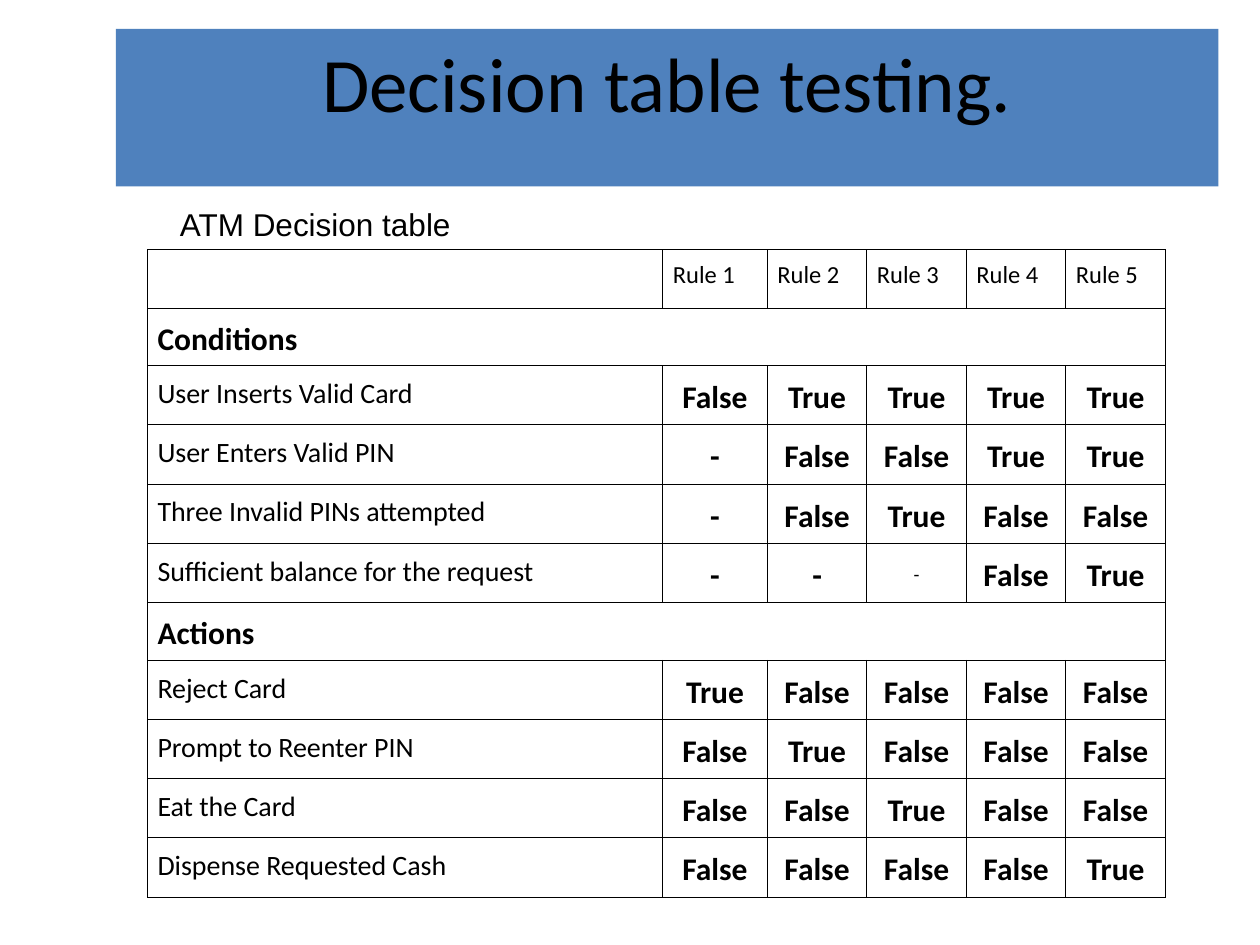
from lxml.etree import SubElement as Sub
from pptx import Presentation
from pptx.dml.color import RGBColor as RGB
from pptx.enum.text import MSO_ANCHOR as Anchor, MSO_AUTO_SIZE as Auto, PP_ALIGN as Align
from pptx.oxml.ns import qn
from pptx.util import Inches, Pt

INK = {"text": "000000", "band": "4F81BD", "line": "000000", "cell": "FFFFFF"}
COLS = [4.09, 0.83] + [0.79] * 4
HIGH = {"Conditions": 0.37, "Actions": 0.46}
ROWS = [
    ["", "Rule 1", "Rule 2", "Rule 3", "Rule 4", "Rule 5"],
    ["Conditions"],
    ["User Inserts Valid Card", "False", "True", "True", "True", "True"],
    ["User Enters Valid PIN", "-", "False", "False", "True", "True"],
    ["Three Invalid PINs attempted", "-", "False", "True", "False", "False"],
    ["Sufficient balance for the request", "-", "-", "-", "False", "True"],
    ["Actions"],
    ["Reject Card", "True", "False", "False", "False", "False"],
    ["Prompt to Reenter PIN", "False", "True", "False", "False", "False"],
    ["Eat the Card", "False", "False", "True", "False", "False"],
    ["Dispense Requested Cash", "False", "False", "False", "False", "True"],
]
SMALL = (5, 3)


class Deck:
    def __init__(self, slide, font="Calibri"):
        self.slide = slide
        self.font = font

    def style(self, frame, text, size, bold=False, align=Align.LEFT, font=None):
        frame.text = text
        para = frame.paragraphs[0]
        para.alignment = align
        for run in para.runs:
            run.font.name = font or self.font
            run.font.size = Pt(size)
            run.font.bold = bold
            run.font.color.rgb = RGB.from_string(INK["text"])
        return para

    def place(self, shape, box):
        shape.left, shape.top, shape.width, shape.height = map(Inches, box)

    def title(self, text, box):
        shape = self.slide.shapes.title
        self.place(shape, box)
        shape.fill.solid()
        shape.fill.fore_color.rgb = RGB.from_string(INK["band"])
        frame = shape.text_frame
        frame.auto_size = Auto.NONE
        frame.vertical_anchor = Anchor.TOP
        self.style(frame, text, 44, align=Align.CENTER)

    def label(self, text, box):
        frame = self.slide.shapes.add_textbox(*map(Inches, box)).text_frame
        frame.word_wrap = True
        self.style(frame, text, 18, font="Arial")

    def edge(self, cell):
        props = cell._tc.get_or_add_tcPr()
        for side in ("lnL", "lnR", "lnT", "lnB"):
            line = Sub(props, qn("a:" + side), w=str(Pt(0.45)))
            fill = Sub(line, qn("a:solidFill"))
            Sub(fill, qn("a:srgbClr"), val=INK["line"])

    def cell(self, cell, text, size, bold, mid):
        self.edge(cell)
        cell.fill.solid()
        cell.fill.fore_color.rgb = RGB.from_string(INK["cell"])
        cell.margin_left = cell.margin_right = Inches(0.08)
        cell.margin_top = cell.margin_bottom = Inches(0.05)
        cell.vertical_anchor = Anchor.MIDDLE if mid else Anchor.TOP
        align = Align.CENTER if mid else Align.LEFT
        para = self.style(cell.text_frame, text, size, bold, align)
        para.line_spacing = 1.15

    def table(self, rows, box):
        shape = self.slide.shapes.add_table(len(rows), len(COLS), *map(Inches, box))
        table = shape.table
        table.first_row = table.horz_banding = False
        for col, width in zip(table.columns, COLS):
            col.width = Inches(width)
        for r, row in enumerate(rows):
            table.rows[r].height = Inches(HIGH.get(row[0], 0.47))
            group = len(row) == 1
            for c in range(len(COLS)):
                text = row[c] if c < len(row) else ""
                mid = r > 0 and c > 0 and not group
                bold = group or (mid and (r, c) != SMALL)
                size = 14 if r == 0 else 18 if bold else 11 if mid else 16
                self.cell(table.cell(r, c), text, size, bold, mid)
            if group:
                table.cell(r, 0).merge(table.cell(r, len(COLS) - 1))


def main():
    show = Presentation()
    show.slide_width, show.slide_height = Inches(10), Inches(7.5)
    deck = Deck(show.slides.add_slide(show.slide_layouts[5]))
    deck.title("Decision table testing.", (0.92, 0.23, 8.75, 1.25))
    deck.table(ROWS, (1.17, 1.98, 8.08, 5.03))
    deck.label("ATM Decision table", (1.33, 1.58, 4.67, 0.4))
    show.save("out.pptx")


if __name__ == "__main__":
    main()
